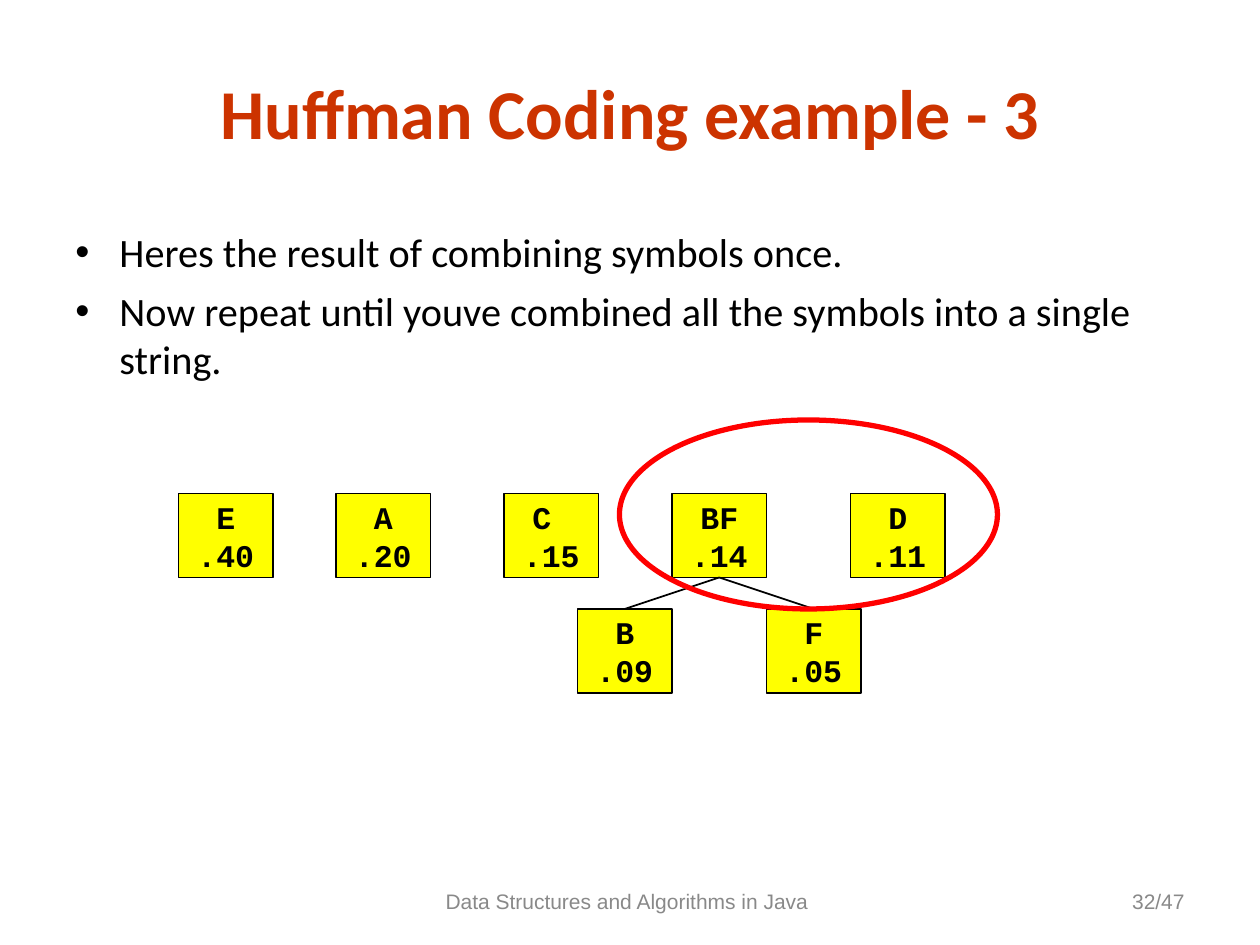
from pptx import Presentation
from pptx.dml.color import RGBColor
from pptx.enum.shapes import MSO_CONNECTOR, MSO_SHAPE
from pptx.enum.text import MSO_ANCHOR, PP_ALIGN
from pptx.oxml.ns import qn
from pptx.util import Inches, Pt
from lxml.etree import SubElement

CELL = 1 / 12
INK = "000000"
GREY = "898989"


def unit(n):
    return Inches(n * CELL)


def color(code):
    return RGBColor.from_string(code)


def write(frame, text, size=12, font="Arial", ink=INK, bold=False,
          align=PP_ALIGN.CENTER, anchor=MSO_ANCHOR.MIDDLE, wrap=True,
          gap=0, bullet=None):
    frame.word_wrap = wrap
    frame.vertical_anchor = anchor
    for i, line in enumerate(text.split("\n")):
        para = frame.paragraphs[0] if i == 0 else frame.add_paragraph()
        para.alignment = align
        para.space_before = Pt(gap if i else 0)
        run = para.add_run()
        run.text = line
        run.font.size = Pt(size)
        run.font.name = font
        run.font.bold = bold
        run.font.color.rgb = color(ink)
        if bullet:
            props = para._p.get_or_add_pPr()
            props.set("marL", str(Inches(0.35)))
            props.set("indent", str(-Inches(0.35)))
            SubElement(props, qn("a:buFont")).set("typeface", "Arial")
            SubElement(props, qn("a:buChar")).set("char", bullet)


class Canvas:
    def __init__(self, slide):
        self.shapes = slide.shapes

    def label(self, text, x, y, w, h, **style):
        box = self.shapes.add_textbox(unit(x), unit(y), unit(w), unit(h))
        write(box.text_frame, text, **style)

    def shape(self, kind, x, y, w, h, line, width, fill=None):
        item = self.shapes.add_shape(kind, unit(x), unit(y), unit(w), unit(h))
        item.shadow.inherit = False
        item.line.color.rgb = color(line)
        item.line.width = Pt(width)
        if fill:
            item.fill.solid()
            item.fill.fore_color.rgb = color(fill)
        else:
            item.fill.background()
        return item

    def node(self, text, x, y):
        item = self.shape(MSO_SHAPE.RECTANGLE, x, y, 9, 8, INK, 1, "FFFF00")
        write(item.text_frame, text, size=18, font="Courier New",
              bold=True, wrap=False)
        return item

    def edge(self, top, low):
        line = self.shapes.add_connector(MSO_CONNECTOR.STRAIGHT, 0, 0, 0, 0)
        line.begin_connect(top, 2)
        line.end_connect(low, 0)
        line.line.color.rgb = color(INK)
        line.line.width = Pt(1)
        SubElement(line._element.spPr, qn("a:effectLst"))


def main():
    deck = Presentation()
    deck.slide_width, deck.slide_height = Inches(10), Inches(7.5)
    page = Canvas(deck.slides.add_slide(deck.slide_layouts[6]))

    page.label("Data Structures and Algorithms in Java ", 41, 83.4, 38, 4.8,
               ink=GREY)
    page.label("32/47", 86, 83.4, 28, 4.8, ink=GREY, align=PP_ALIGN.RIGHT)

    for text, x in (("E\n.40", 17), ("A\n.20", 32), ("C \n.15", 48),
                    ("D\n.11", 81)):
        page.node(text, x, 47)
    root = page.node("BF\n.14", 64, 47)
    for text, step in (("B\n.09", -9), ("F\n.05", 9)):
        page.edge(root, page.node(text, 64 + step, 58))

    page.label("Heres the result of combining symbols once.\n"
               "Now repeat until youve combined all the symbols into a single "
               "string.", 6, 21.1, 108, 15.9, size=23, font="Calibri",
               align=PP_ALIGN.LEFT, anchor=MSO_ANCHOR.TOP, gap=5.8, bullet="•")
    page.shape(MSO_SHAPE.OVAL, 59, 40, 36, 18, "FF0000", 3)
    page.label("Huffman Coding example - 3", 9, 6, 102, 9.3, size=40,
               font="Calibri", ink="CC3300", bold=True)

    deck.save("out.pptx")


if __name__ == "__main__":
    main()
